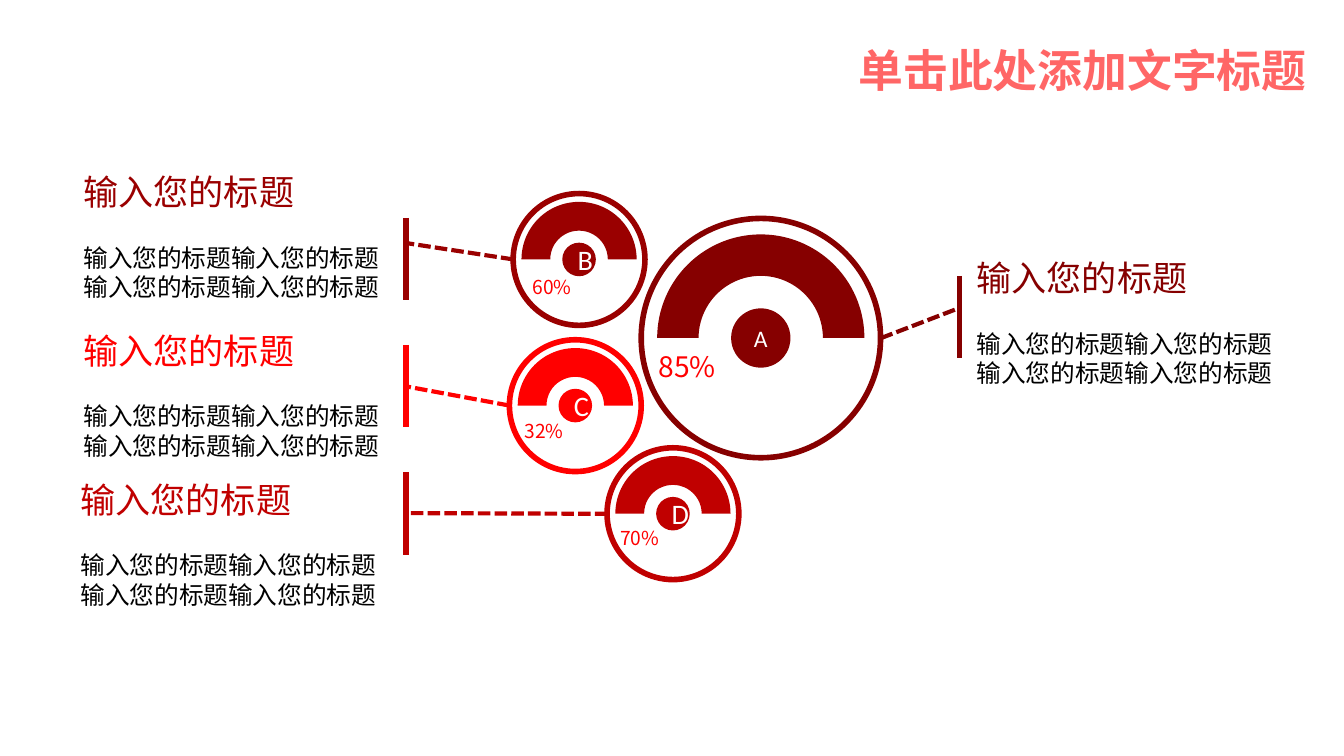
from pptx import Presentation
from pptx.dml.color import RGBColor
from pptx.enum import dml, shapes, text
from pptx.oxml.ns import qn
from pptx.util import Pt
from lxml import etree

FONT = "Noto Sans CJK SC"
MAROON = RGBColor(0x86, 0x00, 0x00)
CRIMSON = RGBColor(0x9A, 0x00, 0x00)
DARK_RED = RGBColor(0xC0, 0x00, 0x00)
RED = RGBColor(0xFF, 0x00, 0x00)
CORAL = RGBColor(0xFF, 0x66, 0x66)
BLACK = RGBColor(0x00, 0x00, 0x00)
WHITE = RGBColor(0xFF, 0xFF, 0xFF)

HEADING = "输入您的标题"
BODY_LINE = HEADING * 2


def set_format(target, values):
    for name, value in values.items():
        setattr(target, name, value)


def add_run(paragraph, wording, size, color, font=FONT, bold=False):
    run = paragraph.add_run()
    run.text = wording
    set_format(run.font, {"size": Pt(size), "name": font, "bold": bold})
    run.font.color.rgb = color
    # East Asian typeface, for the Chinese characters
    etree.SubElement(run.font._element, qn("a:ea")).set("typeface", font)


def add_text(slide, box, paragraphs, wrap=False, align=text.PP_ALIGN.LEFT):
    """Each paragraph is (wording, size, color, space before, bold)."""
    frame = slide.shapes.add_textbox(*map(Pt, box)).text_frame
    set_format(frame, {"word_wrap": wrap, "auto_size": text.MSO_AUTO_SIZE.NONE,
                       "vertical_anchor": text.MSO_ANCHOR.TOP})
    for i, (wording, size, color, gap, bold) in enumerate(paragraphs):
        paragraph = frame.add_paragraph() if i else frame.paragraphs[0]
        set_format(paragraph, {"alignment": align, "space_before": Pt(gap)})
        add_run(paragraph, wording, size, color, bold=bold)


def add_round(slide, kind, center, diameter, fill=None, line=None):
    x, y = center
    shape = slide.shapes.add_shape(kind, Pt(x - diameter / 2), Pt(y - diameter / 2),
                                   Pt(diameter), Pt(diameter))
    shape.shadow.inherit = False
    if fill is None:
        shape.fill.background()
    else:
        shape.fill.solid()
        shape.fill.fore_color.rgb = fill
    if line is None:
        shape.line.fill.background()
    else:
        shape.line.color.rgb = line
        shape.line.width = Pt(3)
    return shape


def add_gauge(slide, letter, center, color, ring, arc, hub, thickness, size):
    kinds = shapes.MSO_SHAPE
    band = add_round(slide, kinds.BLOCK_ARC, center, arc, fill=color)
    band.adjustments[2] = thickness
    add_round(slide, kinds.OVAL, center, ring, line=color)
    frame = add_round(slide, kinds.OVAL, center, hub, fill=color).text_frame
    frame.vertical_anchor = text.MSO_ANCHOR.MIDDLE
    frame.paragraphs[0].alignment = text.PP_ALIGN.CENTER
    add_run(frame.paragraphs[0], letter, size, WHITE, font="Calibri")


def add_line(slide, start, end, color, width, dash=None):
    line = slide.shapes.add_connector(shapes.MSO_CONNECTOR.STRAIGHT,
                                      *map(Pt, (*start, *end)))
    line.line.color.rgb = color
    set_format(line.line, {"width": Pt(width), "dash_style": dash})
    etree.SubElement(line._element.spPr, qn("a:effectLst"))


def add_callout(slide, color, bar_x, bar_top, ring_edge, joint_y, text_corner):
    add_line(slide, (bar_x, bar_top), (bar_x, bar_top + 44.2), color, 3)
    add_line(slide, ring_edge, (bar_x, joint_y), color, 2.25,
             dml.MSO_LINE.SQUARE_DOT)
    add_text(slide, (*text_corner, 174.2, 77.8),
             [(HEADING, 18.8, color, 0, False),
              (BODY_LINE, 13.2, BLACK, 16, False),
              (BODY_LINE, 13.2, BLACK, 0, False)], wrap=True)


def main():
    prs = Presentation()
    set_format(prs, {"slide_width": Pt(720), "slide_height": Pt(405)})
    slide = prs.slides.add_slide(prs.slide_layouts[6])

    # Slide title
    add_text(slide, (452.9, 19.4, 257, 36),
             [("单击此处添加文字标题", 24, CORAL, 0, True)])

    # Gauges: one large, three small
    large = {"ring": 128.2, "arc": 111, "hub": 31.8, "thickness": 0.2, "size": 12.7}
    small = {"ring": 70.6, "arc": 61.7, "hub": 18, "thickness": 0.25, "size": 15.1}
    add_gauge(slide, "A", (407.6, 181.1), MAROON, **large)
    for letter, center, color in (("B", (310.2, 139), CRIMSON),
                                  ("D", (360.5, 275.2), DARK_RED),
                                  ("C", (308.2, 217.3), RED)):
        add_gauge(slide, letter, center, color, **small)

    # Callouts: bar, dashed leader and wording
    for callout in (
        (DARK_RED, 217.5, 252.9, (325.4, 275.3), 274.9, (36, 252.7)),
        (RED, 217.5, 184.8, (273, 217.3), 207, (37.6, 172.8)),
        (CRIMSON, 217.5, 116.8, (275, 139), 130.2, (37.6, 87.8)),
        (MAROON, 514, 147.8, (471.8, 181.2), 165, (516.1, 133.9)),
    ):
        add_callout(slide, *callout)

    # Percentages
    add_text(slide, (345.6, 183.6, 46, 25.2), [("85%", 15.1, RED, 0, False)])
    for share, left, top in (("32%", 273.5, 221), ("60%", 277.8, 144),
                             ("70%", 324.7, 278.2)):
        add_text(slide, (left, top, 36, 20.2), [(share, 10.3, RED, 0, False)],
                 align=text.PP_ALIGN.CENTER)

    prs.save("out.pptx")


if __name__ == "__main__":
    main()
